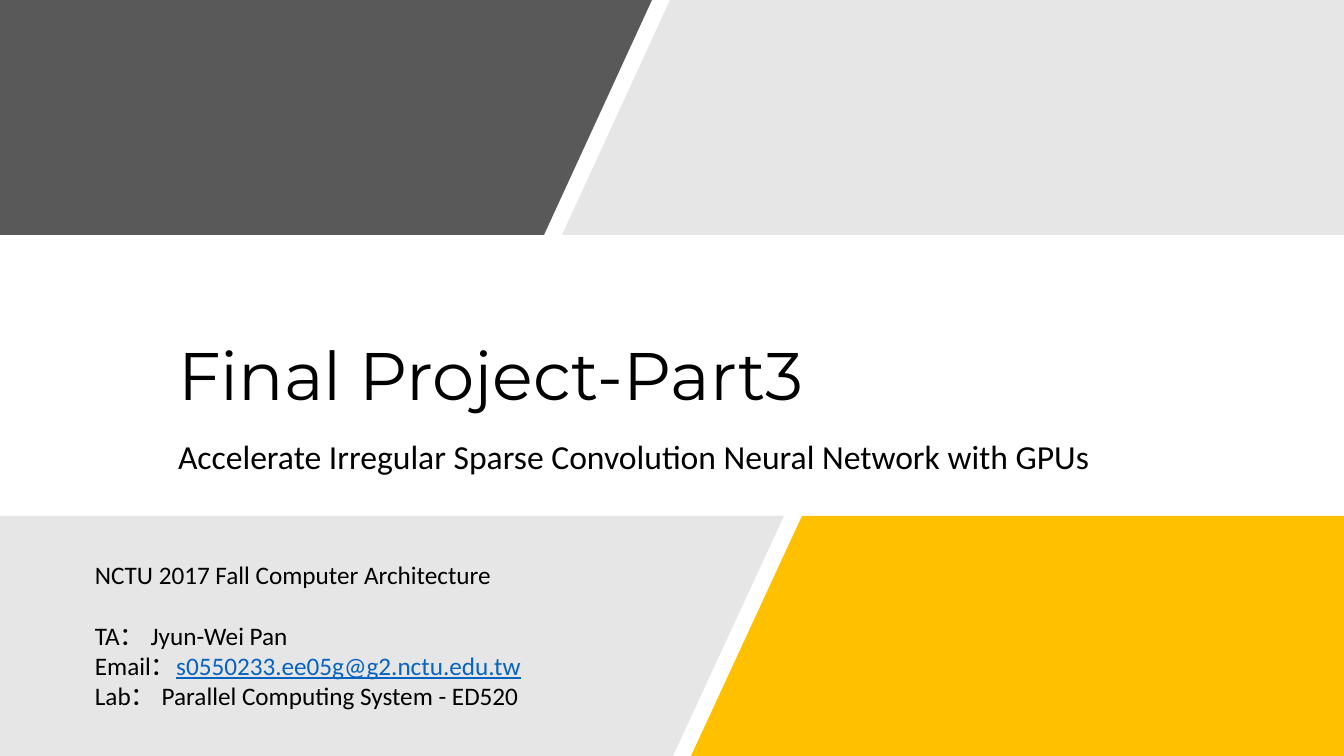
"""Builds the Final Project-Part3 title slide with slanted colour panels."""
from pptx import Presentation, util as u
from pptx.dml.color import RGBColor
from pptx.enum import text

PX = 12192000 / 1344
WIDTH, HEIGHT = 1344, 756
TOP_END, BOTTOM_START = 235, 516


def px(length):
    return u.Emu(round(length * PX))


def paint(color_format, color):
    color_format.rgb = RGBColor.from_string(color)


deck = Presentation()
deck.slide_width, deck.slide_height = px(WIDTH), px(HEIGHT)
page = deck.slides.add_slide(deck.slide_layouts[0])
title, subtitle = page.placeholders

panels = [
    ("595959", [(0, 0), (652, 0), (544, TOP_END), (0, TOP_END)]),
    ("FFFFFF", [(789, BOTTOM_START), (1176, BOTTOM_START), (1176, HEIGHT), (678, HEIGHT)]),
    ("FFC000", [(802, BOTTOM_START), (WIDTH, BOTTOM_START), (WIDTH, HEIGHT), (691, HEIGHT)]),
    ("E7E6E6", [(670, 0), (WIDTH, 0), (WIDTH, TOP_END), (562, TOP_END)]),
    ("E7E6E6", [(0, BOTTOM_START), (784, BOTTOM_START), (673, HEIGHT), (0, HEIGHT)]),
]
for color, corners in panels:
    outline = page.shapes.build_freeform(*corners[0], scale=PX)
    outline.add_line_segments(corners[1:], close=True)
    panel = outline.convert_to_shape()
    panel.shadow.inherit = False
    panel.fill.solid()
    paint(panel.fill.fore_color, color)
    panel.line.fill.background()
    title.element.addprevious(panel.element)

headings = [
    (title, "Final Project-Part3", "Montserrat", 48, 248, 172, 0, text.MSO_ANCHOR.BOTTOM),
    (subtitle, "Accelerate Irregular Sparse Convolution Neural Network with GPUs",
     "Calibri", 24, 435, 64, 10, text.MSO_ANCHOR.TOP),
]
for box, wording, font, size, top, height, before, anchor in headings:
    box.left, box.top, box.width, box.height = map(px, (168, top, 1008, height))
    frame = box.text_frame
    frame.text = wording
    frame.auto_size = text.MSO_AUTO_SIZE.NONE
    frame.vertical_anchor = anchor
    para = frame.paragraphs[0]
    para.alignment = text.PP_ALIGN.LEFT
    para.line_spacing = 0.9
    para.space_before = u.Pt(before)
    para.font.name, para.font.size = font, u.Pt(size)
    paint(para.font.color, "000000")

contact = page.shapes.add_textbox(*map(px, (85, 554, 555, 163)))
frame = contact.text_frame
frame.word_wrap = True
frame.auto_size = text.MSO_AUTO_SIZE.SHAPE_TO_FIT_TEXT
details = [
    ("NCTU 2017 Fall Computer Architecture", "", 0),
    ("TA： Jyun-Wei Pan", "", 22),
    ("Email：", "s0550233.ee05g@g2.nctu.edu.tw", 0),
    ("Lab： Parallel Computing System - ED520", "", 0),
]
for index, (wording, address, before) in enumerate(details):
    para = frame.add_paragraph() if index else frame.paragraphs[0]
    para.space_before = u.Pt(before)
    para.font.name, para.font.size = "Calibri", u.Pt(18)
    paint(para.font.color, "000000")
    para.add_run().text = wording
    if address:
        span = para.add_run()
        span.text = address
        span.font.underline = True
        paint(span.font.color, "0563C1")

deck.save("out.pptx")
